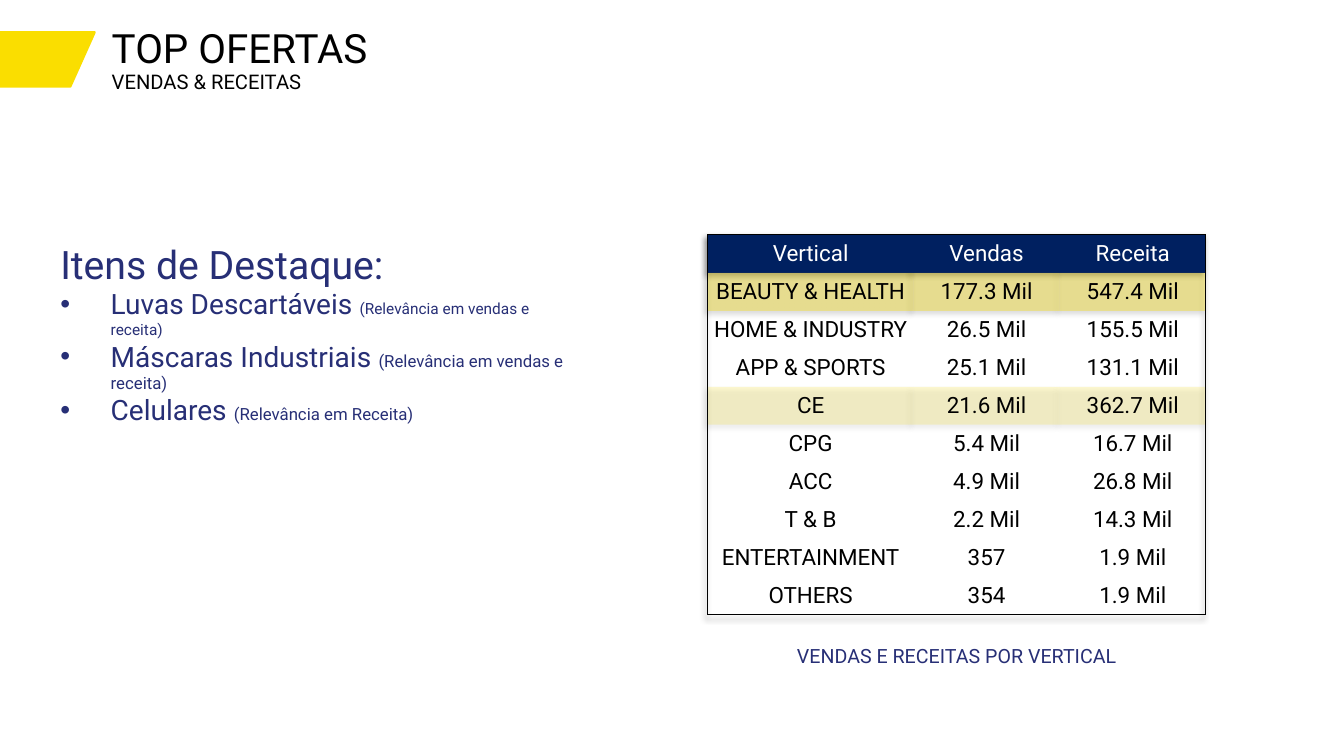
from lxml.etree import SubElement
from pptx import Presentation
from pptx.dml.color import RGBColor
from pptx.enum.shapes import MSO_SHAPE
from pptx.enum.text import MSO_ANCHOR, PP_ALIGN
from pptx.oxml import parse_xml
from pptx.oxml.ns import nsdecls, qn
from pptx.util import Inches, Pt

FONT = "Roboto"
COLORS = {
    "yellow": "FADE00",
    "navy": "002060",
    "indigo": "272F76",
    "black": "000000",
    "white": "FFFFFF",
}
ITEMS = [
    ("Luvas Descartáveis ", "(Relevância em vendas e receita)", 11),
    ("Máscaras Industriais ", "(Relevância em vendas e receita)", 12),
    ("Celulares ", "(Relevância em Receita)", 12),
]
SALES = [
    ("Vertical", "Vendas", "Receita"),
    ("BEAUTY & HEALTH", "177.3 Mil", "547.4 Mil"),
    ("HOME & INDUSTRY", "26.5 Mil", "155.5 Mil"),
    ("APP & SPORTS", "25.1 Mil", "131.1 Mil"),
    ("CE", "21.6 Mil", "362.7 Mil"),
    ("CPG", "5.4 Mil", "16.7 Mil"),
    ("ACC", "4.9 Mil", "26.8 Mil"),
    ("T & B", "2.2 Mil", "14.3 Mil"),
    ("ENTERTAINMENT", "357", "1.9 Mil"),
    ("OTHERS", "354", "1.9 Mil"),
]
FILLS = {0: ("navy", 100), 1: ("yellow", 35), 4: ("yellow", 18)}
SHARES = (2.04, 1.45, 1.45)


def color(name):
    return RGBColor.from_string(COLORS[name])


def add_run(para, text, size, tone):
    run = para.add_run()
    run.text = text
    run.font.size = Pt(size)
    run.font.name = FONT
    run.font.color.rgb = color(tone)


def add_box(slide, left, top, width, height):
    box = slide.shapes.add_textbox(
        Inches(left), Inches(top), Inches(width), Inches(height))
    box.text_frame.word_wrap = True
    return box.text_frame


def add_head(slide, left, top, width, height):
    flag = slide.shapes.add_shape(
        MSO_SHAPE.FLOWCHART_DATA, Inches(left), Inches(top),
        Inches(1.21), Inches(0.54))
    flag.shadow.inherit = False
    flag.fill.solid()
    flag.fill.fore_color.rgb = color("yellow")
    flag.line.color.rgb = color("yellow")
    flag.line.width = Pt(1.5)
    frame = add_box(slide, left + 1.28, top + 0.09, width - 1.28, height - 0.09)
    frame.vertical_anchor = MSO_ANCHOR.BOTTOM
    para = frame.paragraphs[0]
    para.line_spacing = 0.9
    add_run(para, "TOP OFERTAS", 28.8, "black")
    para.add_line_break()
    add_run(para, "VENDAS & RECEITAS", 14.4, "black")


def add_items(slide, left, top, width, height):
    frame = add_box(slide, left, top, width, height)
    add_run(frame.paragraphs[0], "Itens de Destaque:", 28, "indigo")
    for name, note, size in ITEMS:
        para = frame.add_paragraph()
        props = para._p.get_or_add_pPr()
        props.set("marL", str(Inches(0.5)))
        props.set("indent", str(-Inches(0.5)))
        SubElement(props, qn("a:buFont"), typeface="Arial")
        SubElement(props, qn("a:buChar"), char="•")
        add_run(para, name, 20, "indigo")
        add_run(para, note, size, "indigo")


def paint(cell, tone, alpha):
    cell.fill.solid()
    cell.fill.fore_color.rgb = color(tone)
    if alpha < 100:
        tint = cell._tc.tcPr.find(".//" + qn("a:srgbClr"))
        SubElement(tint, qn("a:alpha"), val=str(alpha * 1000))


def add_edges(cell, edges):
    props = cell._tc.get_or_add_tcPr()
    for spot, side in enumerate("LRTB"):
        ink = "<a:noFill/>"
        if side in edges:
            ink = f'<a:solidFill><a:srgbClr val="{COLORS["black"]}"/></a:solidFill>'
        props.insert(spot, parse_xml(
            f'<a:ln{side} {nsdecls("a")} w="{Pt(1)}">{ink}</a:ln{side}>'))


def add_shade(table):
    props = table._tbl.tblPr
    props.insert(0, parse_xml(
        f'<a:effectLst {nsdecls("a")}>'
        f'<a:outerShdw blurRad="{Pt(4)}" dist="{Pt(3)}" dir="8100000" algn="tr" rotWithShape="0">'
        f'<a:srgbClr val="{COLORS["black"]}"><a:alpha val="40000"/></a:srgbClr>'
        '</a:outerShdw></a:effectLst>'))


def fill_cell(cell, text, row, col):
    head = row == 0
    cell.vertical_anchor = MSO_ANCHOR.MIDDLE
    cell.margin_left = cell.margin_right = Inches(0.08 if head else 0.01)
    cell.margin_top = Inches(0.04 if head else 0.01)
    cell.margin_bottom = Inches(0.04 if head else 0)
    para = cell.text_frame.paragraphs[0]
    para.alignment = PP_ALIGN.CENTER
    add_run(para, text, 16, "white" if head else "black")
    if row in FILLS:
        paint(cell, *FILLS[row])
    else:
        cell.fill.background()
    bounds = {"L": col == 0, "R": col == len(SHARES) - 1,
              "T": head, "B": row == len(SALES) - 1}
    add_edges(cell, [side for side, on in bounds.items() if on])


def add_sales(slide, left, top, width, height):
    table = slide.shapes.add_table(
        len(SALES), len(SHARES), Inches(left), Inches(top),
        Inches(width), Inches(height)).table
    table.first_row = table.horz_banding = False
    add_shade(table)
    for col, share in zip(table.columns, SHARES):
        col.width = Inches(width * share / sum(SHARES))
    for row, texts in enumerate(SALES):
        table.rows[row].height = Inches(height / len(SALES))
        for col, text in enumerate(texts):
            fill_cell(table.cell(row, col), text, row, col)
    frame = add_box(slide, left + 0.2, top + height + 0.24, width - 0.4, 0.34)
    para = frame.paragraphs[0]
    para.alignment = PP_ALIGN.CENTER
    add_run(para, "VENDAS E RECEITAS POR VERTICAL", 14, "indigo")


def main():
    deck = Presentation()
    deck.slide_width = Inches(13.33)
    deck.slide_height = Inches(7.5)
    slide = deck.slides.add_slide(deck.slide_layouts[6])
    add_head(slide, -0.27, 0.32, 8.8, 0.66)
    add_sales(slide, 7.02, 2.33, 4.94, 3.77)
    add_items(slide, 0.5, 2.33, 5.34, 1.58)
    deck.save("out.pptx")


if __name__ == "__main__":
    main()
